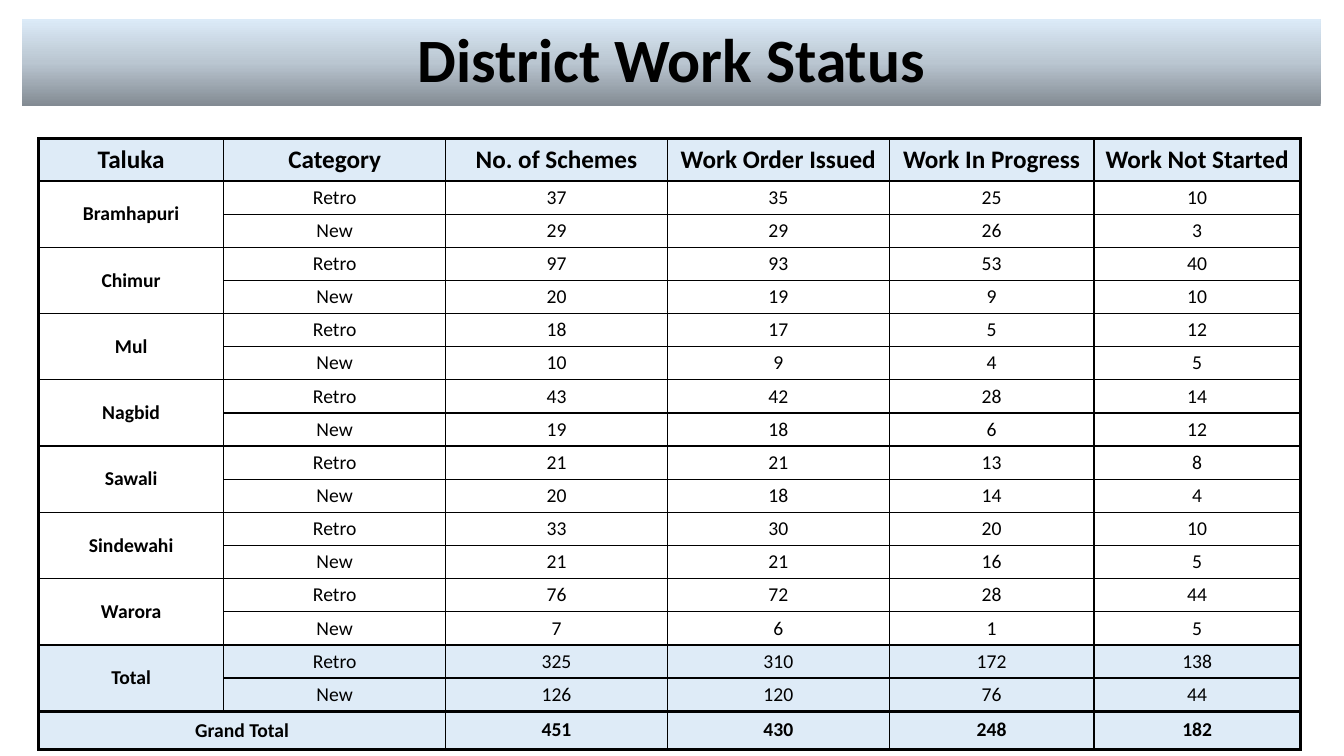
from copy import deepcopy

from lxml.etree import SubElement
from pptx import Presentation
from pptx.dml.color import RGBColor
from pptx.enum.text import MSO_ANCHOR, MSO_AUTO_SIZE, PP_ALIGN
from pptx.oxml.ns import qn
from pptx.util import Cm, Pt

BLACK, PALE_BLUE = "000000", "DEEBF7"
HEADINGS = ["Taluka", "Category", "No. of Schemes", "Work Order Issued",
            "Work In Progress", "Work Not Started"]
# Each taluka: Retro figures, then New figures
TALUKAS = {
    "Bramhapuri": [(37, 35, 25, 10), (29, 29, 26, 3)],
    "Chimur": [(97, 93, 53, 40), (20, 19, 9, 10)],
    "Mul": [(18, 17, 5, 12), (10, 9, 4, 5)],
    "Nagbid": [(43, 42, 28, 14), (19, 18, 6, 12)],
    "Sawali": [(21, 21, 13, 8), (20, 18, 14, 4)],
    "Sindewahi": [(33, 30, 20, 10), (21, 21, 16, 5)],
    "Warora": [(76, 72, 28, 44), (7, 6, 1, 5)],
    "Total": [(325, 310, 172, 138), (126, 120, 76, 44)],
}
GRAND_TOTAL = ["Grand Total", "", 451, 430, 248, 182]


def style_text(text_frame, size, bold):
    text_frame.vertical_anchor = MSO_ANCHOR.MIDDLE
    paragraph = text_frame.paragraphs[0]
    paragraph.alignment = PP_ALIGN.CENTER
    for run in paragraph.runs:
        run.font.name = "Calibri"
        run.font.size = Pt(size)
        run.font.bold = bold
        run.font.color.rgb = RGBColor.from_string(BLACK)


def add_border(cell, side, width):
    """Rule one side of a cell: L, R, T or B, in that order, before the fill."""
    line = SubElement(cell._tc.get_or_add_tcPr(), qn(f"a:ln{side}"), w=str(Pt(width)))
    fill = SubElement(line, qn("a:solidFill"))
    SubElement(fill, qn("a:srgbClr"), val=BLACK)


presentation = Presentation()
presentation.slide_width, presentation.slide_height = Cm(33.87), Cm(19.05)
slide = presentation.slides.add_slide(presentation.slide_layouts[5])

# Title banner
title = slide.shapes.title
title.left, title.top, title.width, title.height = Cm(0.56), Cm(0.48), Cm(32.72), Cm(2.18)
title.text_frame.text = "District Work Status"
title.text_frame.auto_size = MSO_AUTO_SIZE.NONE
title.text_frame.paragraphs[0].line_spacing = 0.9
style_text(title.text_frame, 44, True)
title.fill.gradient()
title.fill.gradient_angle = 90
stops = title._element.spPr.find(".//" + qn("a:gsLst"))
stops.insert(1, deepcopy(stops[0]))
banner_colours = ["838B93", "BAC6D1", "DCEBF8"]
for stop, position, colour in zip(title.fill.gradient_stops, (0, 0.5, 1), banner_colours):
    stop.position = position
    stop.color.rgb = RGBColor.from_string(colour)

# Status table
rows = [HEADINGS]
for taluka, (retro, new) in TALUKAS.items():
    rows += [[taluka, "Retro", *retro], ["", "New", *new]]
rows.append(GRAND_TOTAL)
last_row, last_column = len(rows) - 1, len(HEADINGS) - 1
total_row = last_row - 2

column_widths = [4.67, 5.59, 5.59, 5.59, 5.16, 5.2]
row_heights = [1.07] + [13.36 / (last_row - 1)] * (last_row - 1) + [0.96]
status = slide.shapes.add_table(len(rows), len(HEADINGS), Cm(0.97), Cm(3.49),
                                Cm(sum(column_widths)), Cm(sum(row_heights))).table
status.first_row = status.horz_banding = False
for column, width in zip(status.columns, column_widths):
    column.width = Cm(width)
for row, height in zip(status.rows, row_heights):
    row.height = Cm(height)
for first in range(1, last_row, 2):
    status.cell(first, 0).merge(status.cell(first + 1, 0))
status.cell(last_row, 0).merge(status.cell(last_row, 1))

heavy_rules = {0, 1, total_row, last_row, last_row + 1}  # counted from the table's top edge
for r, values in enumerate(rows):
    for c, value in enumerate(values):
        cell = status.cell(r, c)
        bottom = r + (cell.span_height if cell.is_merge_origin else 1)
        heavy_sides = {"L": c == 0, "R": c == last_column,
                       "T": r in heavy_rules, "B": bottom in heavy_rules}
        for side, heavy in heavy_sides.items():
            add_border(cell, side, 2.25 if heavy else 1)
        if r == 0 or r >= total_row:
            cell.fill.solid()
            cell.fill.fore_color.rgb = RGBColor.from_string(PALE_BLUE)
        else:
            cell.fill.background()
        if cell.is_spanned:
            continue
        tight = r == 0 or (r == last_row and c == 0)
        cell.margin_left = cell.margin_right = Cm(0.03 if tight else 0.08)
        cell.margin_top = Cm(0.03 if tight else 0.05)
        cell.margin_bottom = Cm(0 if tight else 0.05)
        cell.vertical_anchor = MSO_ANCHOR.MIDDLE
        cell.text_frame.text = str(value)
        style_text(cell.text_frame, 18 if r == 0 else 14, c == 0 or r in (0, last_row))

presentation.save("out.pptx")
